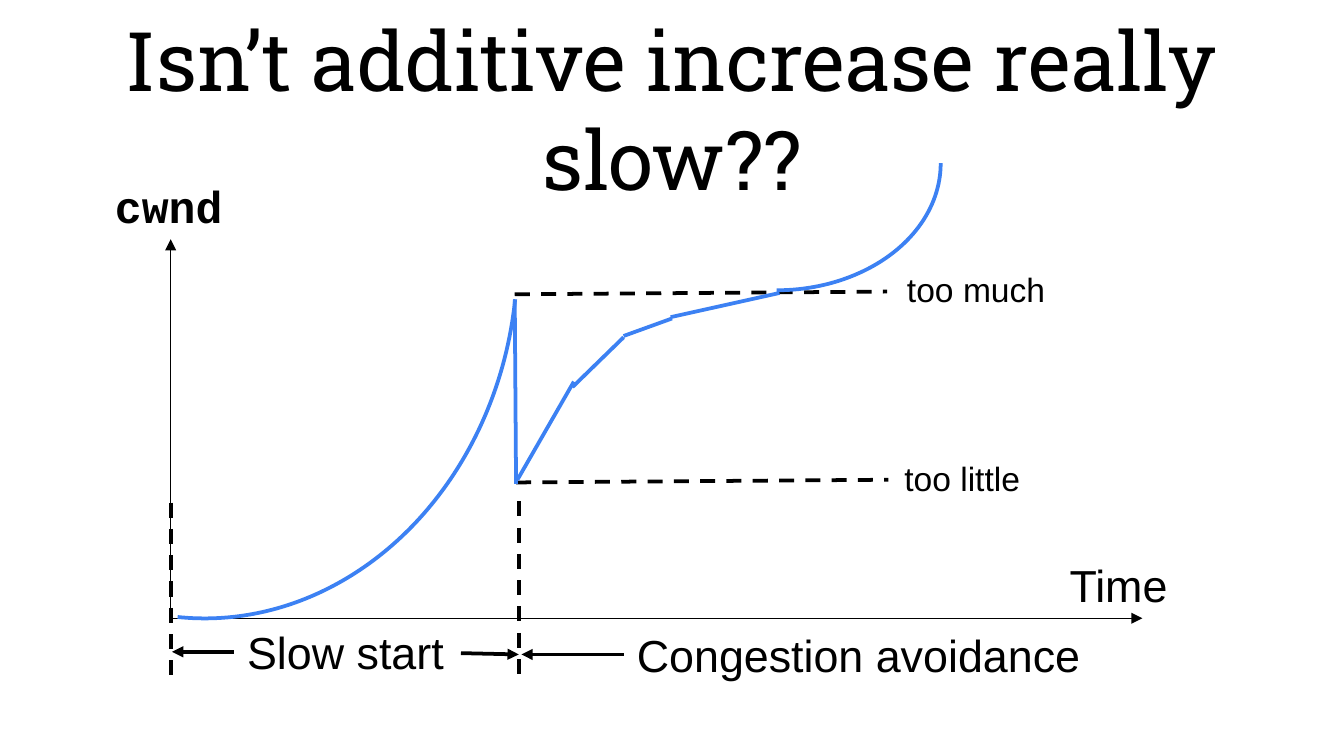
from pptx import Presentation
from pptx import util as u
from pptx.dml import color
from pptx.enum import dml, shapes, text
from pptx.oxml import ns
from lxml import etree

BLACK, BLUE = "000000", "3C81F3"


def paint(code):
    return color.RGBColor.from_string(code)


def place(box, x, y):
    return u.Inches(box[0] + x), u.Inches(box[1] + y)


def write(slide, box, words, x=0, y=0, w=1, h=0.5, size=24, font="Arial",
          bold=False, align="LEFT", wrap=True, inset=None,
          anchor="TOP", fit="SHAPE_TO_FIT_TEXT"):
    item = slide.shapes.add_textbox(*place(box, x, y), u.Inches(w), u.Inches(h))
    frame = item.text_frame
    frame.word_wrap = wrap
    frame.auto_size = text.MSO_AUTO_SIZE[fit]
    frame.vertical_anchor = text.MSO_ANCHOR[anchor]
    if inset is not None:
        frame.margin_left = frame.margin_right = u.Inches(inset)
        frame.margin_top = frame.margin_bottom = u.Inches(inset)
    para = frame.paragraphs[0]
    para.alignment = text.PP_ALIGN[align]
    run = para.add_run()
    run.text = words
    run.font.size = u.Pt(size)
    run.font.name = font
    run.font.bold = bold
    run.font.color.rgb = paint(BLACK)


def draw(slide, box, start, end, hue=BLACK, width=2, dash=False, arrow=False):
    item = slide.shapes.add_connector(
        shapes.MSO_CONNECTOR.STRAIGHT, *place(box, *start), *place(box, *end))
    item.line.color.rgb = paint(hue)
    item.line.width = u.Pt(width)
    if dash:
        item.line.dash_style = dml.MSO_LINE.DASH
    props = item.element.spPr
    if arrow:
        tip = etree.SubElement(props.find(ns.qn("a:ln")), ns.qn("a:tailEnd"))
        tip.set("type", "triangle")
    etree.SubElement(props, ns.qn("a:effectLst"))


def bend(slide, box, x, y, w, h, turn, flip=False):
    arc = slide.shapes.add_shape(
        shapes.MSO_SHAPE.ARC, *place(box, x, y), u.Inches(w), u.Inches(h))
    arc.shadow.inherit = False
    arc.fill.background()
    arc.line.color.rgb = paint(BLUE)
    arc.line.width = u.Pt(2)
    arc.rotation = turn
    if flip:
        arc.element.spPr.get_or_add_xfrm().set("flipH", "1")


def add_title(slide, box):
    write(slide, box, "Isn’t additive increase really slow??", w=box[2], h=box[3],
          size=44, font="Roboto Slab", align="CENTER", inset=0,
          anchor="MIDDLE", fit="NONE")


def add_axes(slide, box):
    wide, high = box[2:]
    for start, end in (((0, high), (0, 0)), ((-0.01, high), (wide, high))):
        draw(slide, box, start, end, width=0.75, arrow=True)
    write(slide, box, "Time", x=6.59, y=2.32, w=0.95, wrap=False)
    write(slide, box, "cwnd", x=-0.8, y=-0.5, w=1.57, font="Courier New",
          bold=True, align="CENTER")


def add_levels(slide, box):
    for words, x, y, left, top in (("too much", 2.56, 0.41, 5.38, 0.17),
                                   ("too little", 2.57, 1.81, 5.36, 1.58)):
        draw(slide, box, (x, y), (x + 2.77, y - 0.02), dash=True)
        write(slide, box, words, x=left, y=top, w=1.41, h=0.4, size=18)


def add_curve(slide, box):
    bend(slide, box, -2.29, -2.04, 5.22, 4.51, 95.9)
    for start, end in (((2.56, 0.45), (2.57, 1.82)),
                       ((3, 1.06), (2.58, 1.79)),
                       ((3.37, 0.73), (2.99, 1.1)),
                       ((3.73, 0.59), (3.37, 0.72)),
                       ((4.53, 0.4), (3.72, 0.58))):
        draw(slide, box, start, end, hue=BLUE)
    bend(slide, box, 3.29, -1.51, 2.44, 1.89, 180, flip=True)


def add_phases(slide, box):
    for x, y in ((0, 0.01), (2.59, 0)):
        draw(slide, box, (x, y), (x, y + 1.33), dash=True)
    for start, end in (((0.47, 1.12), (0.01, 1.12)),
                       ((2.16, 1.13), (2.59, 1.14)),
                       ((3.37, 1.14), (2.61, 1.14))):
        draw(slide, box, start, end, arrow=True)
    write(slide, box, "Slow start", x=0.47, y=0.87, w=1.68, wrap=False)
    write(slide, box, "Congestion avoidance", x=3.37, y=0.89, w=3.54, wrap=False)


def main():
    deck = Presentation()
    deck.slide_width = u.Inches(10)
    deck.slide_height = deck.slide_width * 9 // 16
    slide = deck.slides.add_slide(deck.slide_layouts[6])
    plot = (1.27, 1.78, 7.23, 2.82)
    add_title(slide, (0.34, 0.49, 9.32, 0.63))
    add_axes(slide, plot)
    add_phases(slide, (1.27, 3.73))
    add_levels(slide, plot)
    add_curve(slide, plot)
    deck.save("out.pptx")


if __name__ == "__main__":
    main()
